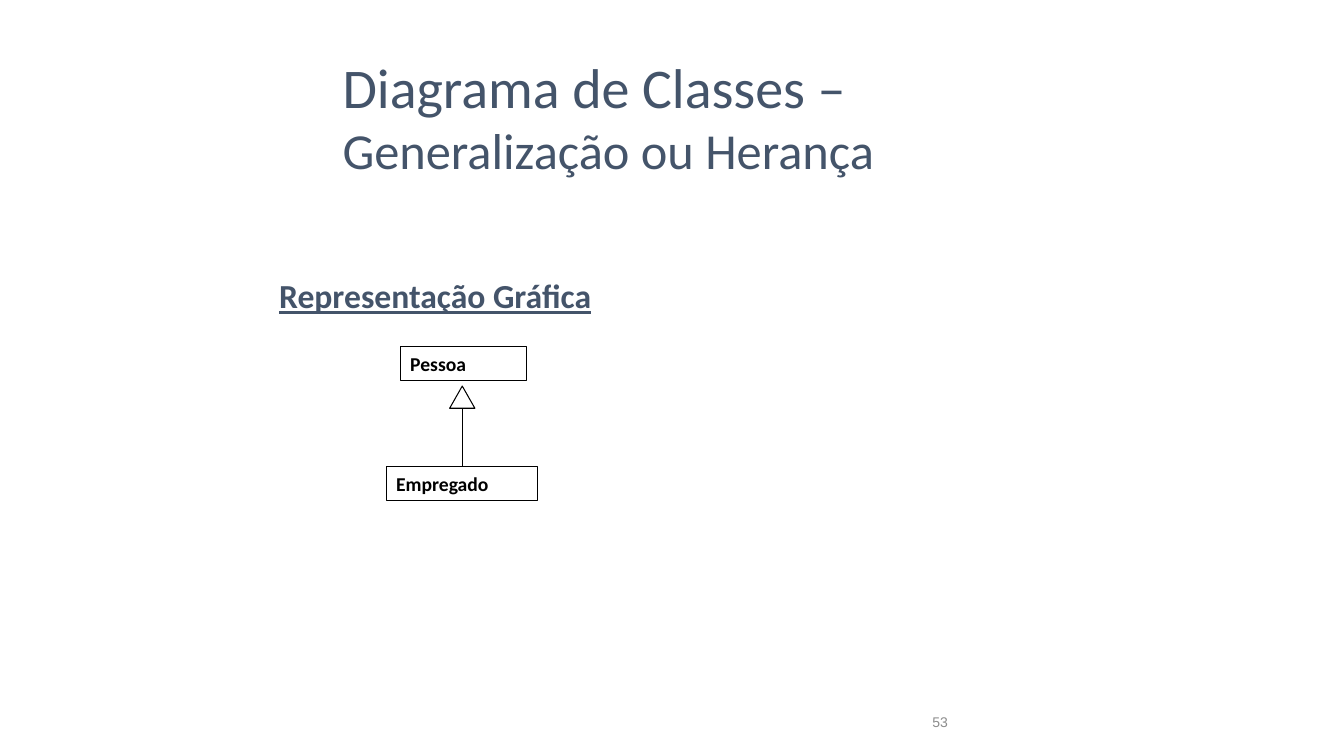
from pptx import Presentation
from pptx import util as u
from pptx.dml.color import RGBColor
from pptx.enum import shapes as s, text as t
from pptx.oxml import xmlchemy as x

SLATE = RGBColor(0x44, 0x54, 0x6A)
BLACK = RGBColor(0, 0, 0)
GRAY = RGBColor(0x8C, 0x8C, 0x8C)
SCALE = 9144


def px(*nums):
    return [u.Emu(n * SCALE) for n in nums]


def style(par, size, color, bold=False, name="Calibri"):
    font = par.font
    font.name, font.size, font.bold = name, u.Pt(size), bold
    font.color.rgb = color


def label(slide, box):
    frame = slide.shapes.add_textbox(*px(*box)).text_frame
    frame.word_wrap = True
    frame.vertical_anchor = t.MSO_ANCHOR.MIDDLE
    return frame.paragraphs[0]


def title(slide, box):
    par = label(slide, box)
    style(par, 40, SLATE)
    parts = (("Diagrama de Classes –", 40), (" ", 38),
             ("Generalização ou Herança", 36))
    for words, size in parts:
        run = par.add_run()
        run.text = words
        run.font.size = u.Pt(size)


def heading(slide, box):
    par = label(slide, box)
    par.text = "Representação Gráfica"
    style(par, 24, SLATE, True)
    par.font.underline = True


def number(slide, box):
    par = label(slide, box)
    par.text = "53"
    par.alignment = t.PP_ALIGN.RIGHT
    style(par, 10, GRAY, name="Arial")


def outline(item):
    item.line.color.rgb = BLACK
    item.line.width = u.Pt(0.75)


def shape(group, kind, box):
    item = group.shapes.add_shape(kind, *px(*box))
    item.shadow.inherit = False
    item.fill.background()
    outline(item)
    return item


def node(group, name, box):
    frame = shape(group, s.MSO_SHAPE.RECTANGLE, box).text_frame
    frame.word_wrap = True
    par = frame.paragraphs[0]
    par.text = name
    par.alignment = t.PP_ALIGN.LEFT
    style(par, 14, BLACK, True)


def diagram(slide, box):
    left, top, width, height = box
    group = slide.shapes.add_group_shape()
    row = 34
    base = top + height - row
    node(group, "Empregado", (left, base, width, row))
    node(group, "Pessoa", (left + 14, top, width - 25, row))
    tip = top + row + 5
    shape(group, s.MSO_SHAPE.ISOSCELES_TRIANGLE, (left + 63, tip, 25, 22))
    mid = left + 76
    link = group.shapes.add_connector(
        s.MSO_CONNECTOR.STRAIGHT, *px(mid, base, mid, tip + 22))
    outline(link)
    props = link._element.spPr
    props.append(x.OxmlElement("a:effectLst"))


def main():
    deck = Presentation()
    deck.slide_width, deck.slide_height = px(1333, 750)
    slide = deck.slides.add_slide(deck.slide_layouts[6])
    number(slide, (717, 696, 233, 40))
    heading(slide, (267, 268, 842, 50))
    diagram(slide, (383, 344, 150, 153))
    title(slide, (330, 52, 780, 126))
    deck.save("out.pptx")


if __name__ == "__main__":
    main()
